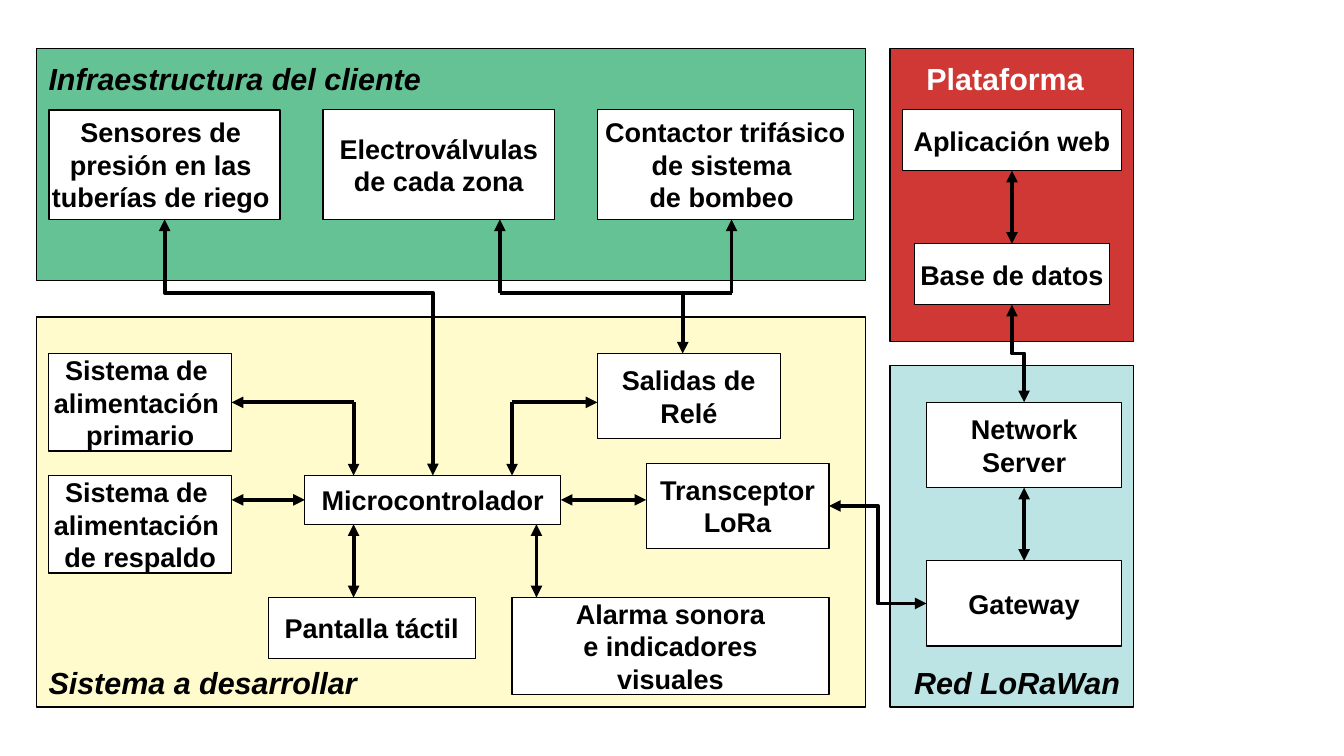
from dataclasses import dataclass

from lxml.etree import SubElement
from pptx import Presentation
from pptx.dml.color import RGBColor
from pptx.enum.shapes import MSO_CONNECTOR, MSO_SHAPE
from pptx.enum.text import MSO_ANCHOR, PP_ALIGN
from pptx.oxml.ns import qn
from pptx.util import Cm, Pt


@dataclass(frozen=True)
class Theme:
    font: str = "Arial"
    black: str = "000000"
    white: str = "FFFFFF"
    client: str = "65C295"
    system: str = "FFFBCC"
    platform: str = "CF3834"
    network: str = "BCE4E5"
    label_size: float = 16
    title_size: float = 18
    arrow_width: float = 2.3
    grid: float = 2.54  # centimetres in one layout unit


class Diagram:
    def __init__(self, slide, theme):
        self.shapes = slide.shapes
        self.theme = theme

    def place(self, *values):
        return [Cm(value * self.theme.grid) for value in values]

    def set_text(self, frame, text, size, color, italic=False, align=PP_ALIGN.LEFT):
        frame.text = text
        for paragraph in frame.paragraphs:
            paragraph.alignment = align
            for run in paragraph.runs:
                run.font.name = self.theme.font
                run.font.size = Pt(size)
                run.font.bold = True
                run.font.italic = italic
                run.font.color.rgb = RGBColor.from_string(color)

    def panel(self, area, fill, border=0):
        panel = self.shapes.add_shape(MSO_SHAPE.RECTANGLE, *self.place(*area))
        panel.shadow.inherit = False
        panel.fill.solid()
        panel.fill.fore_color.rgb = RGBColor.from_string(fill)
        panel.line.color.rgb = RGBColor.from_string(self.theme.black)
        panel.line.width = Pt(border)
        return panel

    def block(self, text, area, border=0):
        frame = self.panel(area, self.theme.white, border).text_frame
        frame.word_wrap = False
        frame.vertical_anchor = MSO_ANCHOR.MIDDLE
        self.set_text(frame, text, self.theme.label_size, self.theme.black,
                      align=PP_ALIGN.CENTER)

    def title(self, text, area, color, italic):
        frame = self.shapes.add_textbox(*self.place(*area)).text_frame
        frame.word_wrap = True
        self.set_text(frame, text, self.theme.title_size, color, italic)

    def link(self, start, end, heads=("headEnd", "tailEnd"),
             kind=MSO_CONNECTOR.STRAIGHT):
        link = self.shapes.add_connector(kind, *self.place(*start, *end))
        link.line.color.rgb = RGBColor.from_string(self.theme.black)
        link.line.width = Pt(self.theme.arrow_width)
        outline = link.line._get_or_add_ln()
        for head in heads:
            SubElement(outline, qn(f"a:{head}"), type="triangle")
        properties = link._element.spPr
        SubElement(properties, qn("a:effectLst"))
        return properties

    def elbow(self, start, end):
        self.link(start, end, kind=MSO_CONNECTOR.ELBOW)

    def rising_elbow(self, start, end, bend=0.5):
        """Elbow that leaves upwards: laid out sideways, then turned 270°."""
        (x1, y1), (x2, y2) = start, end
        middle_x, middle_y = (x1 + x2) / 2, (y1 + y2) / 2
        half_run, half_rise = (y1 - y2) / 2, (x2 - x1) / 2
        properties = self.link((middle_x - half_run, middle_y - half_rise),
                               (middle_x + half_run, middle_y + half_rise),
                               kind=MSO_CONNECTOR.ELBOW)
        properties.find(qn("a:xfrm")).set("rot", str(270 * 60000))
        adjustments = properties.find(qn("a:prstGeom")).get_or_add_avLst()
        SubElement(adjustments, qn("a:gd"), name="adj1",
                   fmla=f"val {round(bend * 100000)}")


def main():
    theme = Theme()
    presentation = Presentation()
    presentation.slide_width, presentation.slide_height = Cm(28), Cm(15.75)
    slide = presentation.slides.add_slide(presentation.slide_layouts[6])
    diagram = Diagram(slide, theme)

    # Areas: left, top, width, height
    for area, fill in (
        ((0.3, 2.6, 6.8, 3.2), theme.system),
        ((0.3, 0.4, 6.8, 1.9), theme.client),
        ((7.3, 3, 2, 2.8), theme.network),
        ((7.3, 0.4, 2, 2.4), theme.platform),
    ):
        diagram.panel(area, fill)

    # Components
    diagram.block("Sensores de \npresión en las \ntuberías de riego ",
                  (0.4, 0.9, 1.9, 0.9), border=1)
    for text, area in (
        ("Electroválvulas\nde cada zona", (2.65, 0.9, 1.9, 0.9)),
        ("Contactor trifásico\nde sistema \nde bombeo ", (4.9, 0.9, 2.1, 0.9)),
        ("Sistema de \nalimentación \nprimario", (0.4, 2.9, 1.5, 0.8)),
        ("Sistema de \nalimentación \nde respaldo", (0.4, 3.9, 1.5, 0.8)),
        ("Microcontrolador", (2.5, 3.9, 2.1, 0.4)),
        ("Salidas de\nRelé", (4.9, 2.9, 1.5, 0.7)),
        ("Transceptor\nLoRa", (5.3, 3.8, 1.5, 0.7)),
        ("Pantalla táctil", (2.2, 4.9, 1.7, 0.5)),
        ("Alarma sonora\ne indicadores\nvisuales", (4.2, 4.9, 2.6, 0.8)),
        ("Aplicación web", (7.4, 0.9, 1.8, 0.5)),
        ("Base de datos", (7.5, 2, 1.6, 0.5)),
        ("Network\nServer", (7.6, 3.3, 1.6, 0.7)),
        ("Gateway", (7.6, 4.6, 1.6, 0.7)),
    ):
        diagram.block(text, area)

    # Area titles
    for text, area, color, italic in (
        ("Infraestructura del cliente", (0.3, 0.44, 3.7, 0.4), theme.black, True),
        ("Plataforma", (7.5, 0.44, 1.56, 0.4), theme.white, False),
        ("Sistema a desarrollar", (0.3, 5.4, 3.1, 0.4), theme.black, True),
        ("Red LoRaWan", (7.4, 5.4, 1.9, 0.4), theme.black, True),
    ):
        diagram.title(text, area, color, italic)

    # Two-way links
    for start, end in (
        ((2.5, 4.1), (1.9, 4.1)),
        ((4.6, 4.1), (5.3, 4.1)),
        ((2.9, 4.3), (2.9, 4.9)),
        ((4.4, 4.3), (4.4, 4.9)),
        ((8.4, 4.6), (8.4, 4)),
        ((8.3, 2), (8.3, 1.4)),
    ):
        diagram.link(start, end)

    # Branches: every arrow leaves from the shared corner
    for corner, targets in (
        ((2.9, 3.3), ((1.9, 3.3), (2.9, 3.9))),
        ((4.2, 3.3), ((4.9, 3.3), (4.2, 3.9))),
        ((4.1, 2.4), ((4.1, 1.8),)),
        ((6, 2.4), ((6, 1.8),)),
        ((5.6, 2.4), ((5.6, 2.9),)),
    ):
        for target in targets:
            diagram.link(corner, target, heads=("tailEnd",))
    diagram.link((6, 2.4), (4.1, 2.4), heads=())

    # Bent links
    diagram.elbow((6.8, 4.15), (7.6, 4.95))
    diagram.rising_elbow((3.55, 3.9), (1.35, 1.8), bend=1.5 / 2.1)
    diagram.rising_elbow((8.4, 3.3), (8.3, 2.5))

    presentation.save("out.pptx")


if __name__ == "__main__":
    main()
